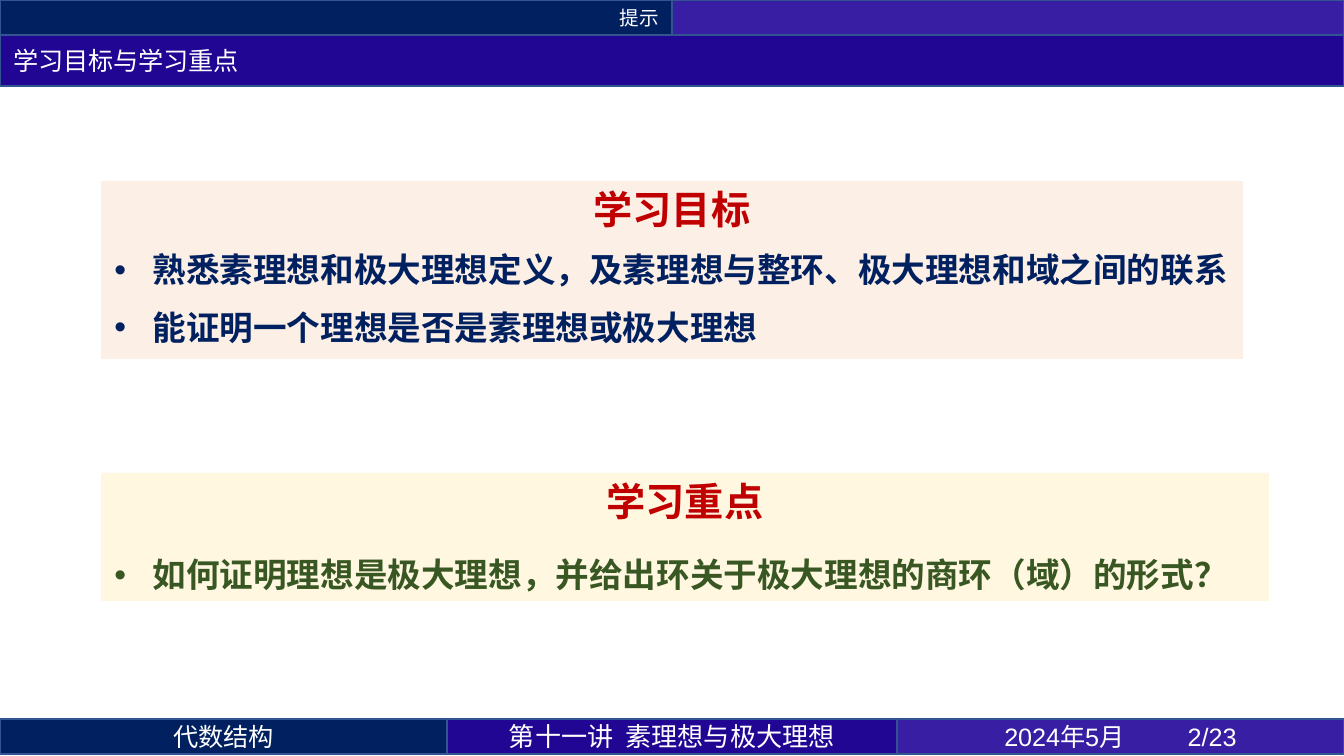
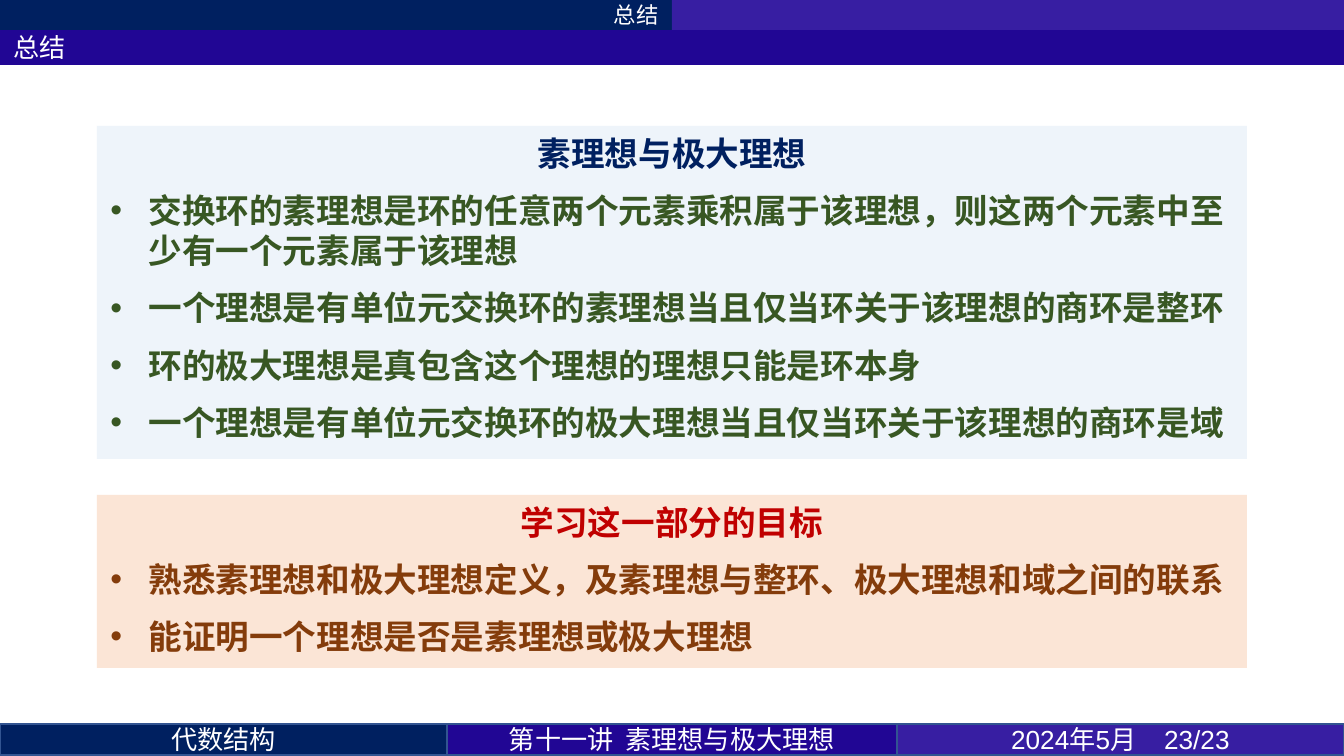
import pptx
import pptx.util
import pptx.dml.color
import pptx.enum.shapes
import pptx.enum.text
import pptx.oxml.ns
import lxml.etree

PX = 914400 / 134.4
WIDTH, HEIGHT = 1344, 756
NAVY, INDIGO, VIOLET, EDGE = "002060", "210694", "371EA2", "325491"
WHITE, RED, GREEN, BROWN = "FFFFFF", "C00000", "385723", "843C0B"
CJK = "Noto Sans CJK SC"
LEFT = pptx.enum.text.PP_ALIGN.LEFT
CENTER = pptx.enum.text.PP_ALIGN.CENTER
RIGHT = pptx.enum.text.PP_ALIGN.RIGHT
TWO_CONTENT = 3
INDENT = 38


def px(length):
    return pptx.util.Emu(round(length * PX))


def color(value):
    return pptx.dml.color.RGBColor.from_string(value)


def add_xml(parent, tag, **attributes):
    return lxml.etree.SubElement(parent, pptx.oxml.ns.qn(tag), attributes)


class LectureDeck:
    def __init__(self):
        self.deck = pptx.Presentation()
        self.deck.slide_width, self.deck.slide_height = px(WIDTH), px(HEIGHT)
        self.page = None

    def add_page(self):
        layout = self.deck.slide_layouts[TWO_CONTENT]
        self.page = self.deck.slides.add_slide(layout)

    def style(self, box, place, fill, edge=None, opacity=100, middle=True):
        box.left, box.top, box.width, box.height = map(px, place)
        box.fill.solid()
        box.fill.fore_color.rgb = color(fill)
        if opacity < 100:
            tint = box._element.spPr.find(".//" + pptx.oxml.ns.qn("a:srgbClr"))
            add_xml(tint, "a:alpha", val=str(opacity * 1000))
        if edge:
            box.line.color.rgb = color(edge)
            box.line.width = pptx.util.Pt(1)
        else:
            box.line.fill.background()
        frame = box.text_frame
        frame.word_wrap = True
        frame.auto_size = pptx.enum.text.MSO_AUTO_SIZE.NONE
        anchors = pptx.enum.text.MSO_ANCHOR
        frame.vertical_anchor = anchors.MIDDLE if middle else anchors.TOP

    def span(self, para, text, size, ink, font=CJK, bold=False, gap=0):
        span = para.add_run()
        span.text = text
        span.font.size = pptx.util.Pt(size)
        span.font.name = font
        span.font.bold = bold
        span.font.color.rgb = color(ink)
        properties = span.font._element
        add_xml(properties, "a:ea", typeface=CJK)
        if gap:
            properties.set("spc", str(round(gap * 100)))

    def space(self, para, align, before=0, after=0, leading=None):
        para.alignment = align
        para.space_before = pptx.util.Pt(before)
        para.space_after = pptx.util.Pt(after)
        para.line_spacing = pptx.util.Pt(leading) if leading else 1.0

    def band(self, place, fill, edge, parts=(), size=14, align=CENTER,
             font=CJK, gap=0):
        kind = pptx.enum.shapes.MSO_SHAPE.RECTANGLE
        box = self.page.shapes.add_shape(kind, *map(px, place))
        box.shadow.inherit = False
        self.style(box, place, fill, edge)
        para = box.text_frame.paragraphs[0]
        self.space(para, align)
        for number, part in enumerate(parts):
            if number:
                self.span(para, " ", size, WHITE, font, gap=gap)
            self.span(para, part, size, WHITE, font)

    def header(self, section, section_size, height, edge=None):
        half = WIDTH // 2
        self.band((0, 0, half, height), NAVY, edge, [section], section_size, RIGHT)
        self.band((half, 0, half, height), VIOLET, edge)

    def title(self, text, size, top, height, edge=None):
        box = self.page.shapes.title
        self.style(box, (0, top, WIDTH, height), INDIGO, edge)
        para = box.text_frame.paragraphs[0]
        self.space(para, LEFT)
        self.span(para, text, size, WHITE, "Calibri")

    def footer(self, number, size, top, height, gap):
        side, center = 447, 450
        self.band((0, top, side, height), NAVY, EDGE, ["代数结构"], size)
        self.band((side, top, center, height), INDIGO, EDGE,
                  ["第十一讲", "素理想与极大理想"], gap=3.1)
        self.band((side + center, top, side, height), VIOLET, EDGE,
                  ["2024年5月", f"{number}/23"], size, font="Arial", gap=gap)

    def panel(self, slot, place, fill, opacity, heading, heading_ink, items,
              item_ink, heading_size=18, heading_font="Calibri",
              item_font=CJK, before=4.5, heading_before=4.5,
              heading_leading=None, item_leading=None):
        box = self.page.placeholders[slot]
        self.style(box, place, fill, opacity=opacity, middle=False)
        para = box.text_frame.paragraphs[0]
        self.space(para, CENTER, heading_before, 4.5, heading_leading)
        properties = para._p.get_or_add_pPr()
        properties.set("marL", "0")
        properties.set("indent", "0")
        add_xml(properties, "a:buNone")
        self.span(para, heading, heading_size, heading_ink, heading_font, True)
        for item in items:
            para = box.text_frame.add_paragraph()
            self.space(para, LEFT, before, 4.5, item_leading)
            properties = para._p.get_or_add_pPr()
            properties.set("marL", str(px(INDENT)))
            properties.set("indent", str(px(-INDENT)))
            add_xml(properties, "a:buFont", typeface="Arial")
            add_xml(properties, "a:buChar", char="•")
            self.span(para, item, 18, item_ink, item_font, True)


def main():
    goals = ["熟悉素理想和极大理想定义，及素理想与整环、极大理想和域之间的联系",
             "能证明一个理想是否是素理想或极大理想"]
    lecture = LectureDeck()

    lecture.add_page()
    lecture.header("提示", 10.5, 35, EDGE)
    lecture.title("学习目标与学习重点", 13.5, 35, 51, EDGE)
    lecture.panel(1, (101, 181, 1142, 178), "FBE5D6", 60, "学习目标", RED,
                  goals, NAVY, heading_size=21, heading_font=CJK,
                  item_font="Arial", heading_leading=24)
    lecture.panel(2, (101, 473, 1168, 128), "FFF2CC", 60, "学习重点", RED,
                  ["如何证明理想是极大理想，并给出环关于极大理想的商环（域）的形式？"],
                  GREEN, heading_size=21, heading_font=CJK, item_font="Arial",
                  before=9, heading_before=9, heading_leading=24,
                  item_leading=24)
    lecture.footer(2, 13.5, 719, 35, 31)

    lecture.add_page()
    lecture.header("总结", 12, 30)
    lecture.title("总结", 14, 30, 35)
    lecture.panel(1, (97, 126, 1150, 333), "DEEBF7", 50, "素理想与极大理想", NAVY,
                  ["交换环的素理想是环的任意两个元素乘积属于该理想，则这两个元素中至少有一个元素属于该理想",
                   "一个理想是有单位元交换环的素理想当且仅当环关于该理想的商环是整环",
                   "环的极大理想是真包含这个理想的理想只能是环本身",
                   "一个理想是有单位元交换环的极大理想当且仅当环关于该理想的商环是域"],
                  GREEN)
    lecture.panel(2, (97, 495, 1150, 173), "FBE5D6", 100, "学习这一部分的目标", RED,
                  goals, BROWN, heading_before=0)
    lecture.footer(23, 14, 724, 31, 11.7)

    lecture.deck.save("out.pptx")


if __name__ == "__main__":
    main()
